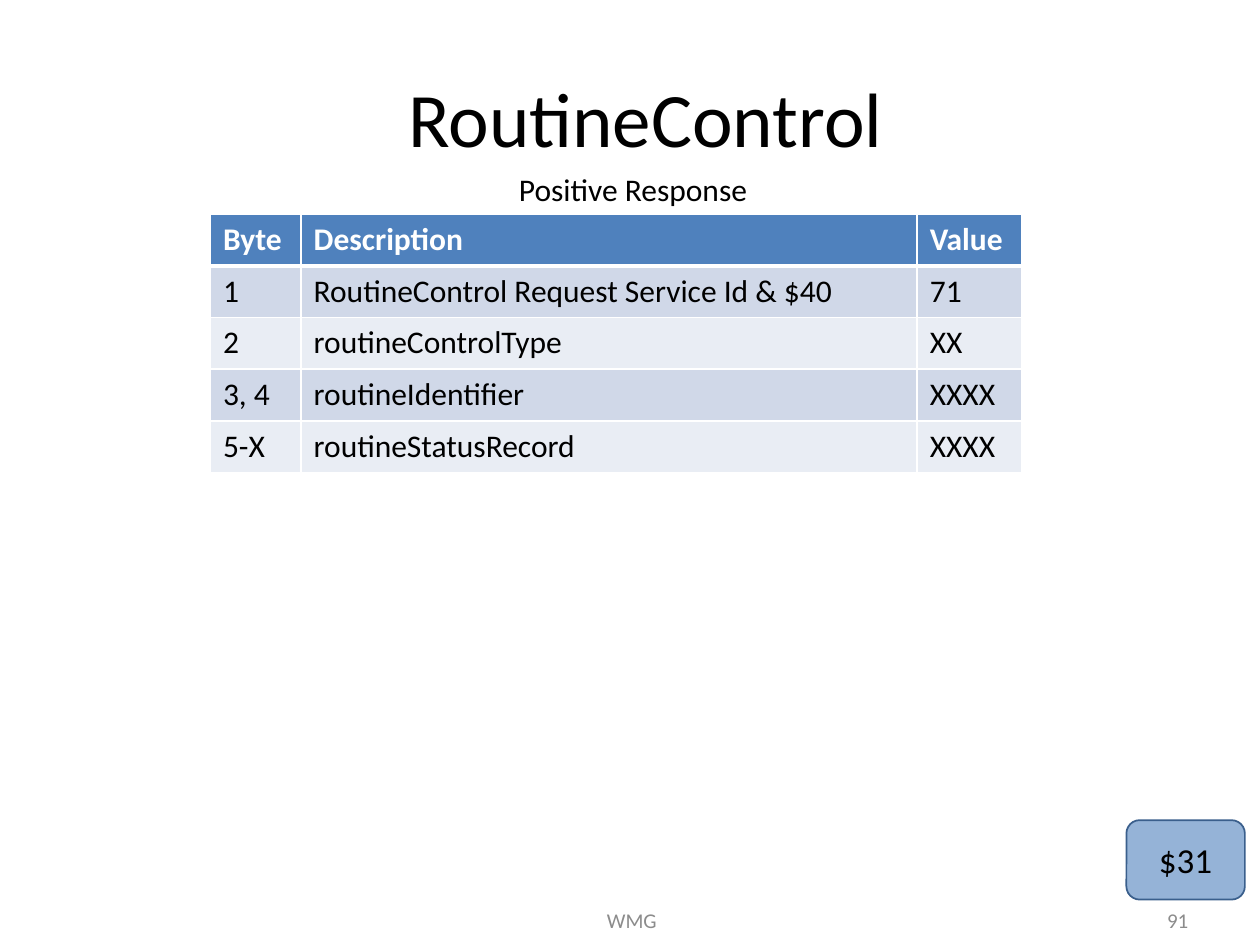
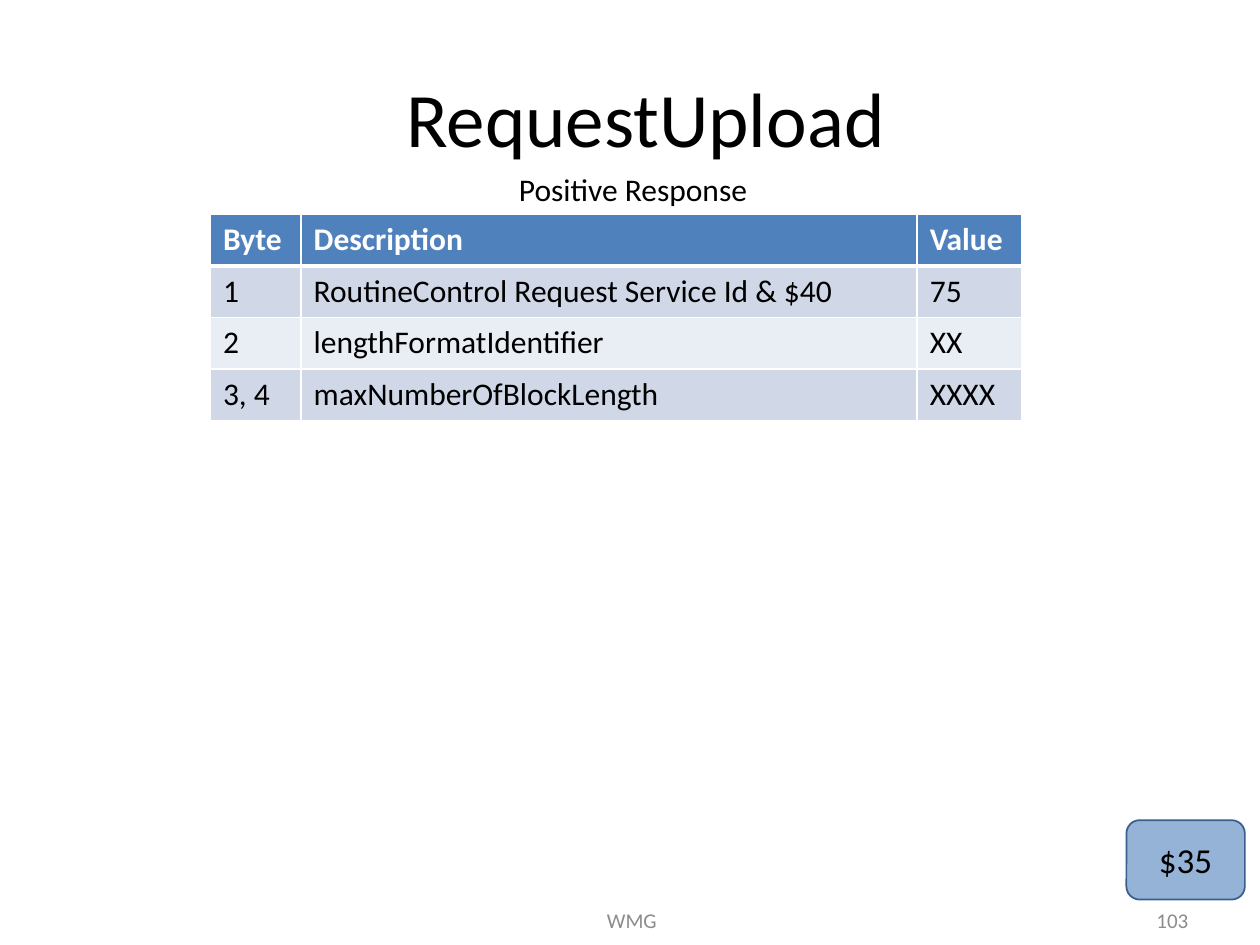
from lxml import etree
from pptx import Presentation
from pptx import util as u
from pptx.dml.color import RGBColor
from pptx.enum import shapes, text
from pptx.oxml.ns import qn

FONT = "Calibri"
COLOURS = {
    "ink": "000000",
    "white": "FFFFFF",
    "footer": "8C8C8C",
    "header": "4F81BD",
    "odd_row": "D0D8E8",
    "even_row": "E9EDF4",
    "badge": "95B3D7",
    "badge_line": "3A5F8C",
}
ALIGN = text.PP_ALIGN
ANCHOR = text.MSO_ANCHOR

HEADINGS = ("Byte", "Description", "Value")
COLUMN_WIDTHS = (0.72, 4.89, 0.83)
ROW_HEIGHT = 0.41

RESPONSES = [
    {
        "service": "RoutineControl",
        "code": "$31",
        "page": "91",
        "bytes": [
            ("1", "RoutineControl Request Service Id & $40", "71"),
            ("2", "routineControlType", "XX"),
            ("3, 4", "routineIdentifier", "XXXX"),
            ("5-X", "routineStatusRecord", "XXXX"),
        ],
    },
    {
        "service": "RequestUpload",
        "code": "$35",
        "page": "103",
        "bytes": [
            ("1", "RoutineControl Request Service Id & $40", "75"),
            ("2", "lengthFormatIdentifier", "XX"),
            ("3, 4", "maxNumberOfBlockLength", "XXXX"),
        ],
    },
]


def colour(name):
    return RGBColor.from_string(COLOURS[name])


def box(left, top, width, height):
    return [u.Inches(length) for length in (left, top, width, height)]


def write(frame, words, size=18, ink="ink", bold=False, align=ALIGN.LEFT):
    """Put one formatted paragraph into a text frame."""
    paragraph = frame.paragraphs[0]
    paragraph.alignment = align
    run = paragraph.add_run()
    run.text = words
    run.font.name = FONT
    run.font.size = u.Pt(size)
    run.font.bold = bold
    run.font.color.rgb = colour(ink)


def add_label(slide, words, place, anchor=ANCHOR.MIDDLE, wrap=True, **style):
    frame = slide.shapes.add_textbox(*box(*place)).text_frame
    frame.word_wrap = wrap
    frame.vertical_anchor = anchor
    write(frame, words, **style)


def add_borders(cell, bottom):
    properties = cell._tc.get_or_add_tcPr()
    for side, points in (("L", 1), ("R", 1), ("T", 1), ("B", bottom)):
        line = etree.SubElement(properties, qn(f"a:ln{side}"), w=str(u.Pt(points)))
        fill = etree.SubElement(line, qn("a:solidFill"))
        etree.SubElement(fill, qn("a:srgbClr"), val=COLOURS["white"])


def add_byte_table(slide, byte_rows):
    rows = [HEADINGS, *byte_rows]
    place = box(1.67, 1.7, sum(COLUMN_WIDTHS), ROW_HEIGHT * len(rows))
    table = slide.shapes.add_table(len(rows), len(HEADINGS), *place).table
    for column, width in zip(table.columns, COLUMN_WIDTHS):
        column.width = u.Inches(width)
    for number, row in enumerate(rows):
        table.rows[number].height = u.Inches(ROW_HEIGHT)
        heading = number == 0
        band = "header" if heading else "odd_row" if number % 2 else "even_row"
        for cell, words in zip(table.rows[number].cells, row):
            add_borders(cell, bottom=3 if heading else 1)
            cell.fill.solid()
            cell.fill.fore_color.rgb = colour(band)
            write(cell.text_frame, words, bold=heading,
                  ink="white" if heading else "ink")


def add_service_badge(slide, code):
    badge = slide.shapes.add_shape(
        shapes.MSO_SHAPE.ROUNDED_RECTANGLE, *box(8.94, 6.51, 0.94, 0.63))
    badge.shadow.inherit = False
    badge.fill.solid()
    badge.fill.fore_color.rgb = colour("badge")
    badge.line.color.rgb = colour("badge_line")
    badge.line.width = u.Pt(1)
    badge.text_frame.vertical_anchor = ANCHOR.MIDDLE
    write(badge.text_frame, code, size=20, align=ALIGN.CENTER)


def add_footer(slide, page):
    add_label(slide, "WMG", (3.43, 7.1, 3.17, 0.4),
              size=12, ink="footer", align=ALIGN.CENTER)
    add_label(slide, page, (7.2, 7.1, 2.33, 0.4),
              size=12, ink="footer", align=ALIGN.RIGHT)


def add_response_slide(deck, response):
    slide = deck.slides.add_slide(deck.slide_layouts[6])
    add_label(slide, response["service"], (0.75, 0.3, 8.75, 1.25),
              size=44, align=ALIGN.CENTER)
    add_footer(slide, response["page"])
    add_byte_table(slide, response["bytes"])
    add_service_badge(slide, response["code"])
    # Table caption
    add_label(slide, "Positive Response", (4.01, 1.3, 2.03, 0.4),
              anchor=ANCHOR.TOP, wrap=False, align=ALIGN.CENTER)


def main():
    deck = Presentation()
    deck.slide_width, deck.slide_height = u.Inches(10), u.Inches(7.5)
    for response in RESPONSES:
        add_response_slide(deck, response)
    deck.save("out.pptx")


if __name__ == "__main__":
    main()
